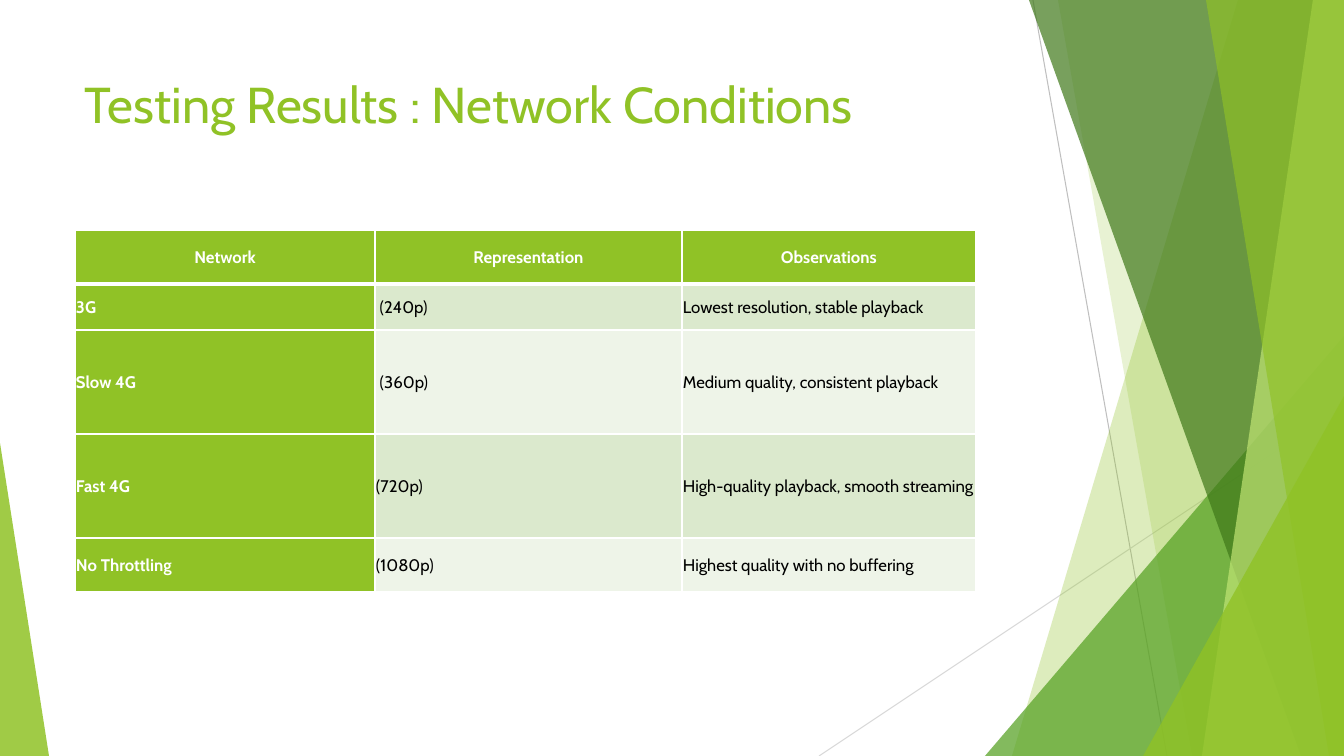
from pptx import Presentation
from pptx.dml.color import RGBColor
from pptx.enum.shapes import MSO_CONNECTOR as Connector, MSO_SHAPE as Shape
from pptx.enum.text import MSO_ANCHOR as Anchor, PP_ALIGN as Align
from pptx.oxml.ns import qn
from pptx.util import Inches, Pt
from lxml.etree import SubElement

WIDTH, HEIGHT = 1344, 756
SCALE = Inches(7.5) / HEIGHT
WHITE = RGBColor(0xFF, 0xFF, 0xFF)
BLACK = RGBColor(0x00, 0x00, 0x00)
LIME = RGBColor(0x90, 0xC2, 0x26)
PALE_LIME = RGBColor(0xC0, 0xE4, 0x74)
LEAF = RGBColor(0x54, 0xA0, 0x21)
FOREST = RGBColor(0x3F, 0x78, 0x19)
SILVER = RGBColor(0xBF, 0xBF, 0xBF)
LIGHT_GREY = RGBColor(0xD9, 0xD9, 0xD9)
BANDS = (RGBColor(0xDB, 0xE9, 0xCD), RGBColor(0xEE, 0xF4, 0xE8))

RAYS = [
    ((1033, 0), (1167, HEIGHT), SILVER),
    ((WIDTH, 406), (819, HEIGHT), LIGHT_GREY),
]
BACK_SHARDS = [(1238, 1012, LIME, 30), (1058, 1192, LIME, 20)]
FRONT_SHARDS = [
    (1029, 1301, FOREST, 70),
    (1313, 1202, PALE_LIME, 70),
    (1206, 1329, LIME, 65),
]
COLUMNS = [300, 307, 294]
ROWS = [54, 46, 104, 104, 54]
RESULTS = [
    ("Network", "Representation", "Observations"),
    ("3G", " (240p)", "Lowest resolution, stable playback"),
    ("Slow 4G", " (360p)", "Medium quality, consistent playback"),
    ("Fast 4G", "(720p)", "High-quality playback, smooth streaming"),
    ("No Throttling", "(1080p)", "Highest quality with no buffering"),
]


def px(length):
    return round(length * SCALE)


class SlideBuilder:
    """Draws styled elements on the current slide."""

    font = "Cabin"

    def __init__(self, deck):
        self.page = deck.slides.add_slide(deck.slide_layouts[6])

    def ray(self, start, end, color):
        line = self.page.shapes.add_connector(
            Connector.STRAIGHT, *map(px, start + end))
        line.line.color.rgb = color
        line.line.width = Pt(0.75)
        SubElement(line._element.spPr, qn("a:effectLst"))

    def paint(self, shape, color, opacity):
        shape.shadow.inherit = False
        shape.line.fill.background()
        shape.fill.solid()
        shape.fill.fore_color.rgb = color
        tint = next(shape._element.spPr.iter(qn("a:srgbClr")))
        SubElement(tint, qn("a:alpha"), val=str(opacity * 1000))

    def shard(self, top, bottom, color, opacity):
        outline = self.page.shapes.build_freeform(top, 0, scale=SCALE)
        outline.add_line_segments(
            [(WIDTH, 0), (WIDTH, HEIGHT), (bottom, HEIGHT)], close=True)
        self.paint(outline.convert_to_shape(), color, opacity)

    def triangle(self, left, top, width, apex, color, opacity):
        shape = self.page.shapes.add_shape(
            Shape.ISOSCELES_TRIANGLE,
            *map(px, (left, top, width, HEIGHT - top)))
        shape.adjustments[0] = apex
        self.paint(shape, color, opacity)

    def span(self, para, text, size, color, bold=False):
        span = para.add_run()
        span.text = text
        span.font.name = self.font
        span.font.size = Pt(size)
        span.font.bold = bold
        span.font.color.rgb = color

    def title(self, text, left, top, width, height):
        box = self.page.shapes.add_textbox(*map(px, (left, top, width, height)))
        box.text_frame.word_wrap = True
        self.span(box.text_frame.paragraphs[0], text, 36, LIME)

    def border(self, cell, side, points):
        line = SubElement(cell._tc.get_or_add_tcPr(), qn(f"a:ln{side}"),
                          w=str(Pt(points)))
        fill = SubElement(line, qn("a:solidFill"))
        SubElement(fill, qn("a:srgbClr"), val=str(WHITE))

    def cell(self, cell, text, row, column):
        header, accent = row == 0, row == 0 or column == 0
        for side in "LRTB":
            thick = (side, row) in (("B", 0), ("T", 1))
            self.border(cell, side, 3 if thick else 1)
        cell.fill.solid()
        cell.fill.fore_color.rgb = LIME if accent else BANDS[(row - 1) % 2]
        cell.vertical_anchor = Anchor.MIDDLE
        cell.margin_left = cell.margin_right = px(1)
        cell.margin_top = cell.margin_bottom = px(1)
        para = cell.text_frame.paragraphs[0]
        para.alignment = Align.CENTER if header else Align.LEFT
        para.line_spacing = 1.07
        self.span(para, text, 12, WHITE if accent else BLACK, accent)

    def table(self, left, top, columns, rows, values):
        frame = self.page.shapes.add_table(
            len(rows), len(columns),
            *map(px, (left, top, sum(columns), sum(rows))))
        table = frame.table
        for column, width in zip(table.columns, columns):
            column.width = px(width)
        for row, height in zip(table.rows, rows):
            row.height = px(height)
        for r, texts in enumerate(values):
            for c, text in enumerate(texts):
                self.cell(table.cell(r, c), text, r, c)


def main():
    deck = Presentation()
    deck.slide_width, deck.slide_height = px(WIDTH), px(HEIGHT)
    slide = SlideBuilder(deck)
    for ray in RAYS:
        slide.ray(*ray)
    for shard in BACK_SHARDS:
        slide.shard(*shard)
    slide.triangle(985, 336, 359, 1, LEAF, 72)
    for shard in FRONT_SHARDS:
        slide.shard(*shard)
    slide.triangle(1143, 396, 201, 1, LIME, 80)
    slide.triangle(0, 443, 49, 0, LIME, 85)
    slide.title("Testing Results : Network Conditions", 75, 68, 948, 145)
    slide.table(75, 230, COLUMNS, ROWS, RESULTS)
    deck.save("out.pptx")


if __name__ == "__main__":
    main()
